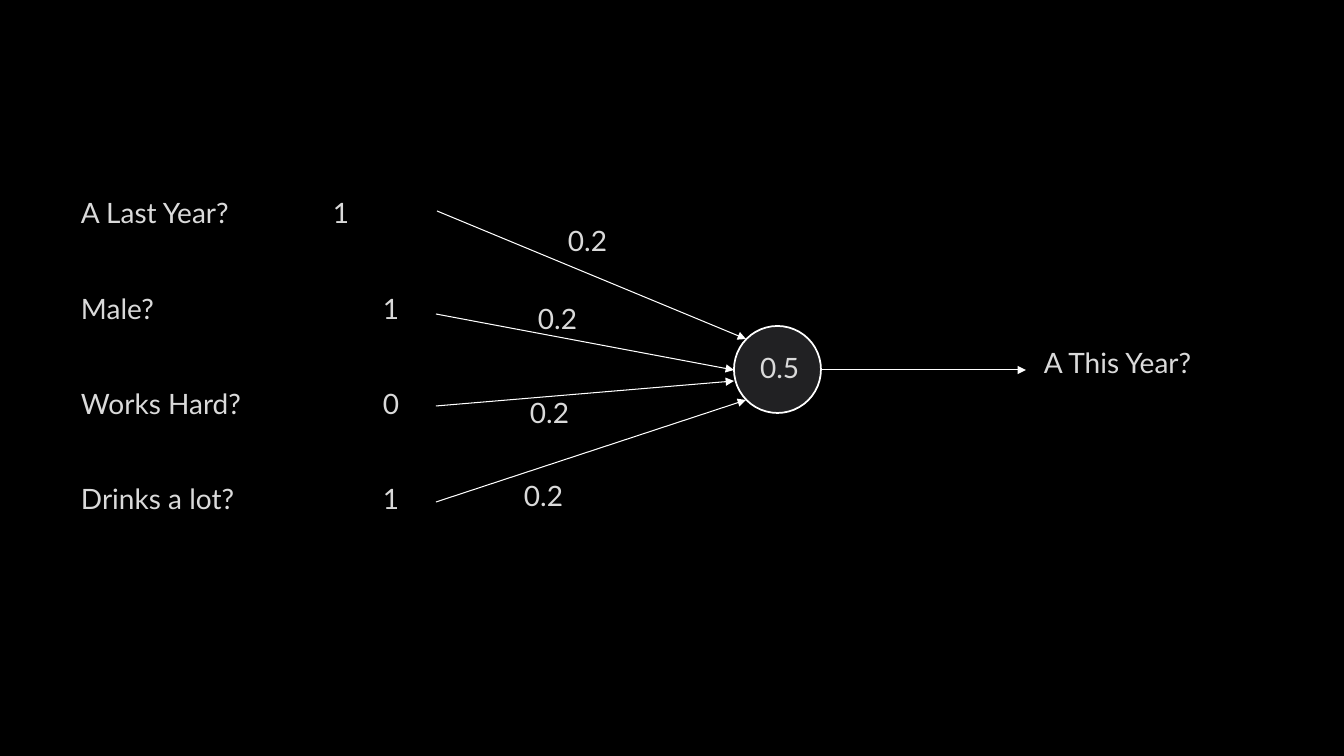
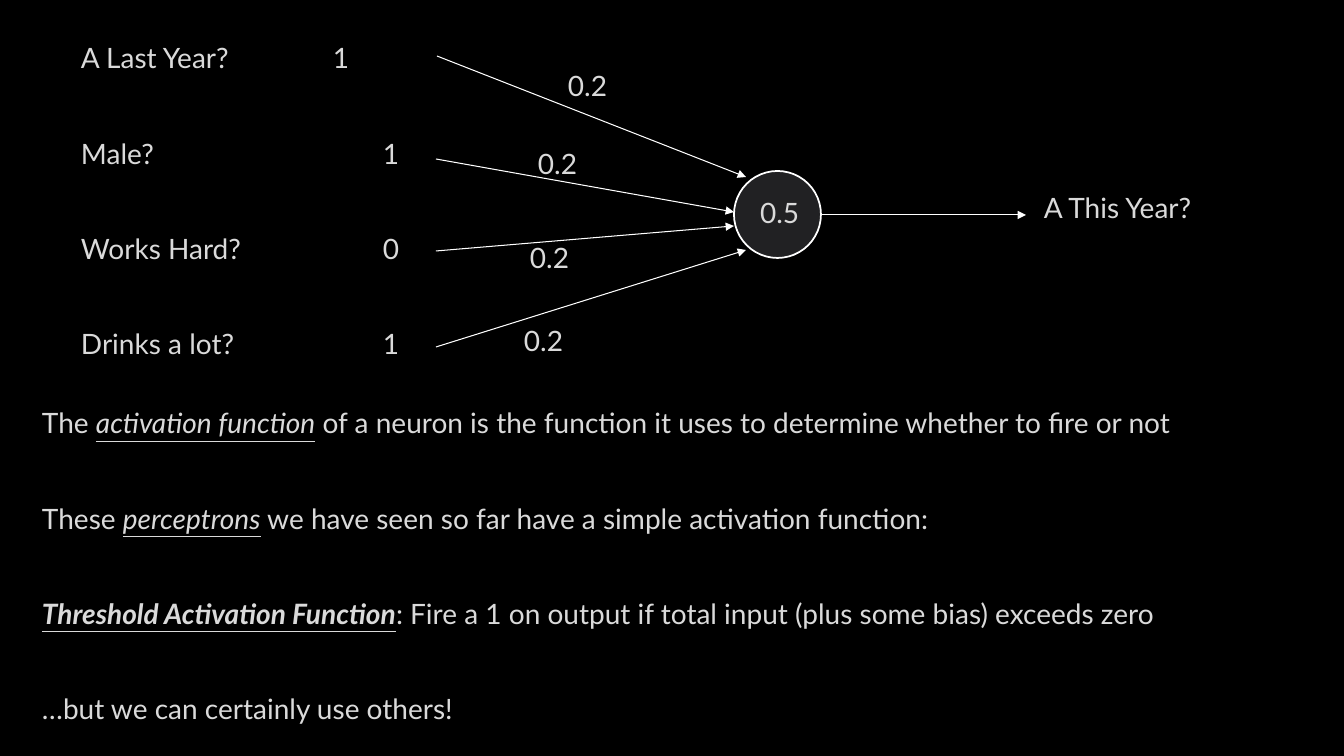
from lxml.etree import SubElement
from pptx import Presentation
from pptx.dml.color import RGBColor
from pptx.enum.shapes import MSO_CONNECTOR as CONNECTOR, MSO_SHAPE as SHAPE
from pptx.oxml.ns import qn
from pptx.util import Emu, Pt

SCALE = 914400 / 100.8
COLORS = {"background": "000000", "text": "DADADA", "neuron": "212123", "line": "FFFFFF"}
FONT, FONT_SIZE = "Lato", 20
PARAGRAPH_GAP = 44
VALUE_TABS = (252, 302)

INPUTS = [("A Last Year?", "1"), ("Male?", "1"), ("Works Hard?", "0"), ("Drinks a lot?", "1")]
ARROW_STARTS = [(370, 20), (369, 123), (369, 215), (369, 311)]
TIP_XS = (679, 667, 667, 679)
WEIGHT_SPOTS = [(487, 28), (457, 106), (449, 200), (443, 283)]

EXPLANATION = [
    [("The ", ""), ("activation function", "iu"),
     (" of a neuron is the function it uses to determine whether to fire or not", "")],
    [("These ", ""), ("perceptrons", "iu"),
     (" we have seen so far have a simple activation function:", "")],
    [("Threshold Activation Function", "biu"),
     (": Fire a 1 on output if total input (plus some bias) exceeds zero", "")],
    [("…but we can certainly use others!", "")],
]


def px(length):
    return Emu(round(length * SCALE))


def color(name):
    return RGBColor.from_string(COLORS[name])


def add_text(slide, box, paragraphs):
    frame = slide.shapes.add_textbox(*map(px, box)).text_frame
    frame.word_wrap = True
    frame.margin_left = px(14)
    for index, runs in enumerate(paragraphs):
        paragraph = frame.add_paragraph() if index else frame.paragraphs[0]
        paragraph.space_before = Pt(PARAGRAPH_GAP if index else 0)
        for words, style in runs:
            run = paragraph.add_run()
            run.text = words
            run.font.name, run.font.size = FONT, Pt(FONT_SIZE)
            run.font.color.rgb = color("text")
            run.font.bold = "b" in style
            run.font.italic = "i" in style
            run.font.underline = "u" in style
    return frame


def add_label(slide, box, words):
    add_text(slide, box, [[(words, "")]])


def add_arrow(slide, start, tip):
    arrow = slide.shapes.add_connector(CONNECTOR.STRAIGHT, *map(px, (*start, *tip)))
    arrow.line.color.rgb = color("line")
    arrow.line.width = Pt(0.75)
    SubElement(arrow.line._get_or_add_ln(), qn("a:tailEnd"), type="triangle")
    SubElement(arrow._element.spPr, qn("a:effectLst"))


def add_inputs(slide, left, top):
    rows = [[(f"{question}\t{value}", "")] for question, value in INPUTS]
    frame = add_text(slide, (left, top, 348, 374), rows)
    for index, paragraph in enumerate(frame.paragraphs):
        stops = SubElement(paragraph._p.get_or_add_pPr(), qn("a:tabLst"))
        position = px(VALUE_TABS[min(index, 1)])
        SubElement(stops, qn("a:tab"), pos=str(position), algn="l")


def add_neuron(slide, left, top):
    neuron = slide.shapes.add_shape(SHAPE.OVAL, *map(px, (left, top, 87, 87)))
    neuron.shadow.inherit = False
    neuron.fill.solid()
    neuron.fill.fore_color.rgb = color("neuron")
    neuron.line.color.rgb = color("line")
    neuron.line.width = Pt(1.25)


def add_perceptron(slide, left, top, tip_ys):
    def at(x, y):
        return left + x, top + y

    add_inputs(slide, left, top)
    add_label(slide, (*at(963, 150), 264, 57), "A This Year?")
    add_neuron(slide, *at(667, 135))
    for start, tip in zip(ARROW_STARTS, zip(TIP_XS, tip_ys)):
        add_arrow(slide, at(*start), at(*tip))
    add_arrow(slide, at(754, 179), at(959, 179))
    for spot in WEIGHT_SPOTS:
        add_label(slide, (*at(*spot), 75, 47), "0.2")
    add_label(slide, (*at(679, 155), 76, 44), "0.5")


def build_diagram_slide(deck, top, tip_ys, explanation=None):
    slide = deck.slides.add_slide(deck.slide_layouts[6])
    add_perceptron(slide, 67, top, tip_ys)
    if explanation:
        add_text(slide, (28, 401, 1290, 338), explanation)


deck = Presentation()
deck.slide_width, deck.slide_height = px(1344), px(756)
backdrop = deck.slide_master.background.fill
backdrop.solid()
backdrop.fore_color.rgb = color("background")

build_diagram_slide(deck, 191, (148, 179, 190, 209))
build_diagram_slide(deck, 36, (141, 176, 190, 214), EXPLANATION)
deck.save("out.pptx")
